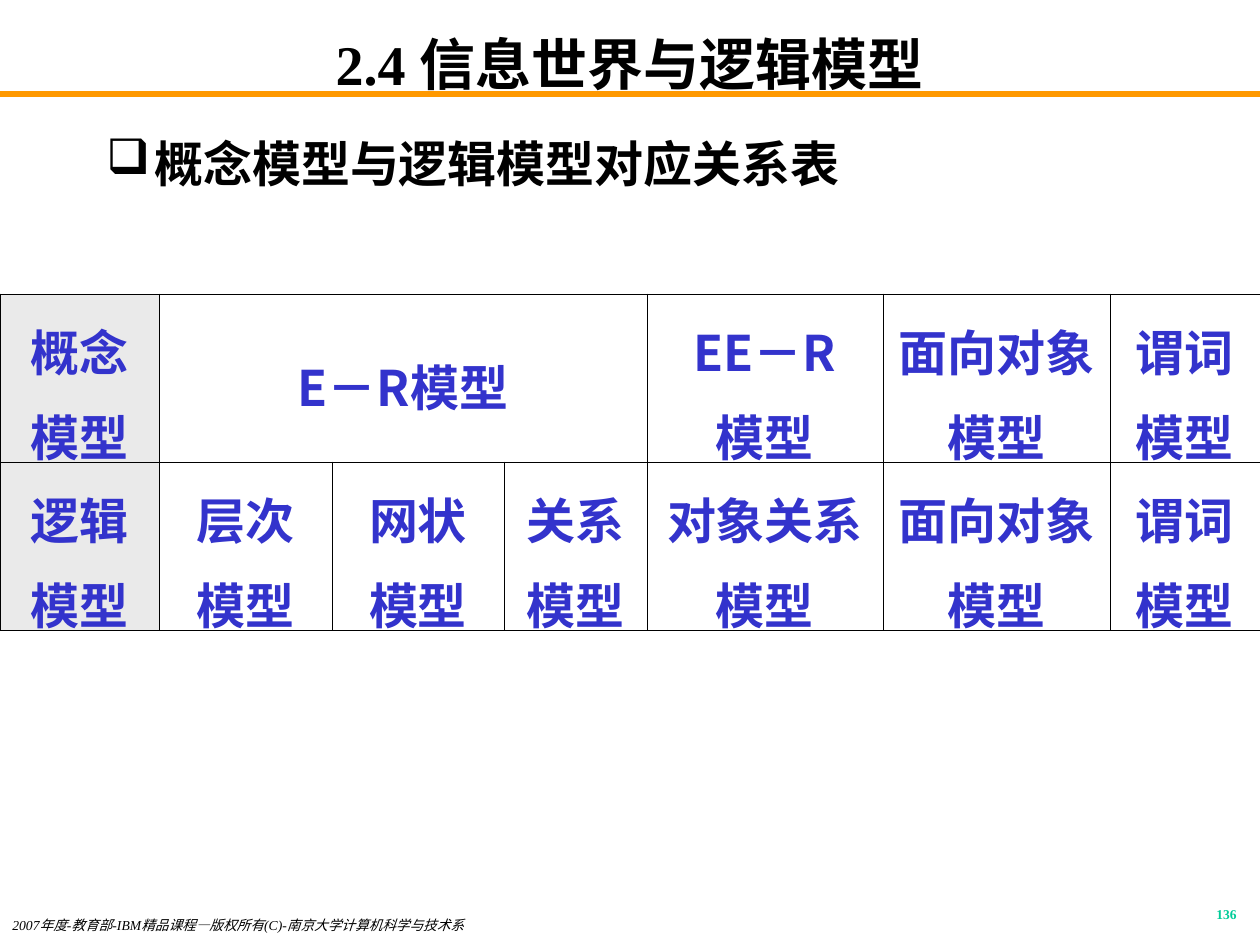
"""Build the slide that maps conceptual models to logical models."""
from dataclasses import dataclass

from lxml.etree import SubElement
from pptx import Presentation
from pptx.dml.color import RGBColor
from pptx.enum.shapes import MSO_CONNECTOR
from pptx.enum.text import MSO_ANCHOR, PP_ALIGN
from pptx.oxml.ns import qn
from pptx.util import Emu, Pt


@dataclass(frozen=True)
class Theme:
    serif: str = "Times New Roman"
    sans: str = "Noto Sans CJK SC"
    ink: str = "000000"
    rule: str = "FF9900"
    cell_text: str = "3333CC"
    header_fill: str = "EAEAEA"
    page_number: str = "00CC99"
    title_size: float = 32
    body_size: float = 28
    footer_size: float = 7.8
    number_size: float = 7.7
    rule_width: float = 3
    border_width: float = 0.45


def px(length):
    return Emu(round(length * 914400 / 126))


class SlideBuilder:
    def __init__(self, slide, theme):
        self.slide = slide
        self.theme = theme

    def style(self, paragraph, size, color, face, bold=True, italic=False):
        font = paragraph.font
        font.name, font.size = face, Pt(size)
        font.bold, font.italic = bold, italic
        font.color.rgb = RGBColor.from_string(color)

    def hang(self, paragraph):
        properties = paragraph._p.get_or_add_pPr()
        properties.set("marL", str(px(48)))
        properties.set("indent", str(-px(48)))
        return properties

    def text(self, box, wording, size, color, align=PP_ALIGN.LEFT, spacing=1.0,
             inset=6, anchor=MSO_ANCHOR.TOP, bullet=None, bold=True, italic=False):
        frame = self.slide.shapes.add_textbox(*map(px, box)).text_frame
        frame.word_wrap = True
        frame.vertical_anchor = anchor
        frame.margin_top = frame.margin_bottom = px(inset)
        paragraph = frame.paragraphs[0]
        paragraph.text = wording
        paragraph.alignment = align
        paragraph.line_spacing = spacing
        if bullet:
            SubElement(self.hang(paragraph), qn("a:buChar"), char=bullet)
        self.style(paragraph, size, color, self.theme.serif, bold, italic)

    def rule(self, start, end):
        rule = self.slide.shapes.add_connector(
            MSO_CONNECTOR.STRAIGHT, *map(px, start + end))
        rule.line.color.rgb = RGBColor.from_string(self.theme.rule)
        rule.line.width = Pt(self.theme.rule_width)
        SubElement(rule._element.spPr, qn("a:effectLst"))

    def border(self, cell):
        properties = cell._tc.get_or_add_tcPr()
        for side in ("lnL", "lnR", "lnT", "lnB"):
            edge = SubElement(properties, qn(f"a:{side}"),
                              w=str(Pt(self.theme.border_width)))
            fill = SubElement(edge, qn("a:solidFill"))
            SubElement(fill, qn("a:srgbClr"), val=self.theme.ink)

    def cell(self, cell, wording, header):
        self.border(cell)
        if header:
            cell.fill.solid()
            cell.fill.fore_color.rgb = RGBColor.from_string(self.theme.header_fill)
        else:
            cell.fill.background()
        cell.vertical_anchor = MSO_ANCHOR.MIDDLE
        cell.text_frame.text = wording
        for paragraph in cell.text_frame.paragraphs:
            self.hang(paragraph)
            paragraph.alignment = PP_ALIGN.CENTER
            paragraph.line_spacing = 1.2
            self.style(paragraph, self.theme.body_size, self.theme.cell_text,
                       self.theme.sans)

    def table(self, left, top, widths, row_height, rows, merged):
        table = self.slide.shapes.add_table(
            len(rows), len(widths), px(left), px(top),
            px(sum(widths)), px(row_height * len(rows))).table
        table.first_row = table.horz_banding = False
        for column, width in zip(table.columns, widths):
            column.width = px(width)
        for r, wordings in enumerate(rows):
            for c, wording in enumerate(wordings):
                self.cell(table.cell(r, c), wording, header=c == 0)
        first, last = merged
        table.cell(*first).merge(table.cell(*last))


def main():
    theme = Theme()
    deck = Presentation()
    deck.slide_width, deck.slide_height = px(1260), px(945)
    builder = SlideBuilder(deck.slides.add_slide(deck.slide_layouts[6]), theme)

    builder.rule((0, 94), (1260, 94))
    builder.text((94, 32, 1072, 63), "2.4 信息世界与逻辑模型", theme.title_size,
                 theme.ink, PP_ALIGN.CENTER, inset=0, anchor=MSO_ANCHOR.MIDDLE)
    builder.text((94, 116, 1072, 766), "概念模型与逻辑模型对应关系表",
                 theme.body_size, theme.ink, spacing=1.2, bullet="❑")
    builder.text((0, 914, 693, 32),
                 "2007年度-教育部-IBM精品课程—版权所有(C)-南京大学计算机科学与技术系",
                 theme.footer_size, theme.ink, spacing=0.8, bold=False, italic=True)
    builder.text((987, 903, 262, 32), "136", theme.number_size,
                 theme.page_number, PP_ALIGN.RIGHT, spacing=0.8)

    conceptual = ["概念\n模型", "E－R模型", "", "", "EE－R\n模型",
                  "面向对象\n模型", "谓词\n模型"]
    logical = [f"{kind}\n模型" for kind in
               ("逻辑", "层次", "网状", "关系", "对象关系", "面向对象", "谓词")]
    builder.table(0, 294, (159, 173, 172, 143, 236, 227, 150), 168,
                  [conceptual, logical], merged=((0, 1), (0, 3)))
    deck.save("out.pptx")


if __name__ == "__main__":
    main()
